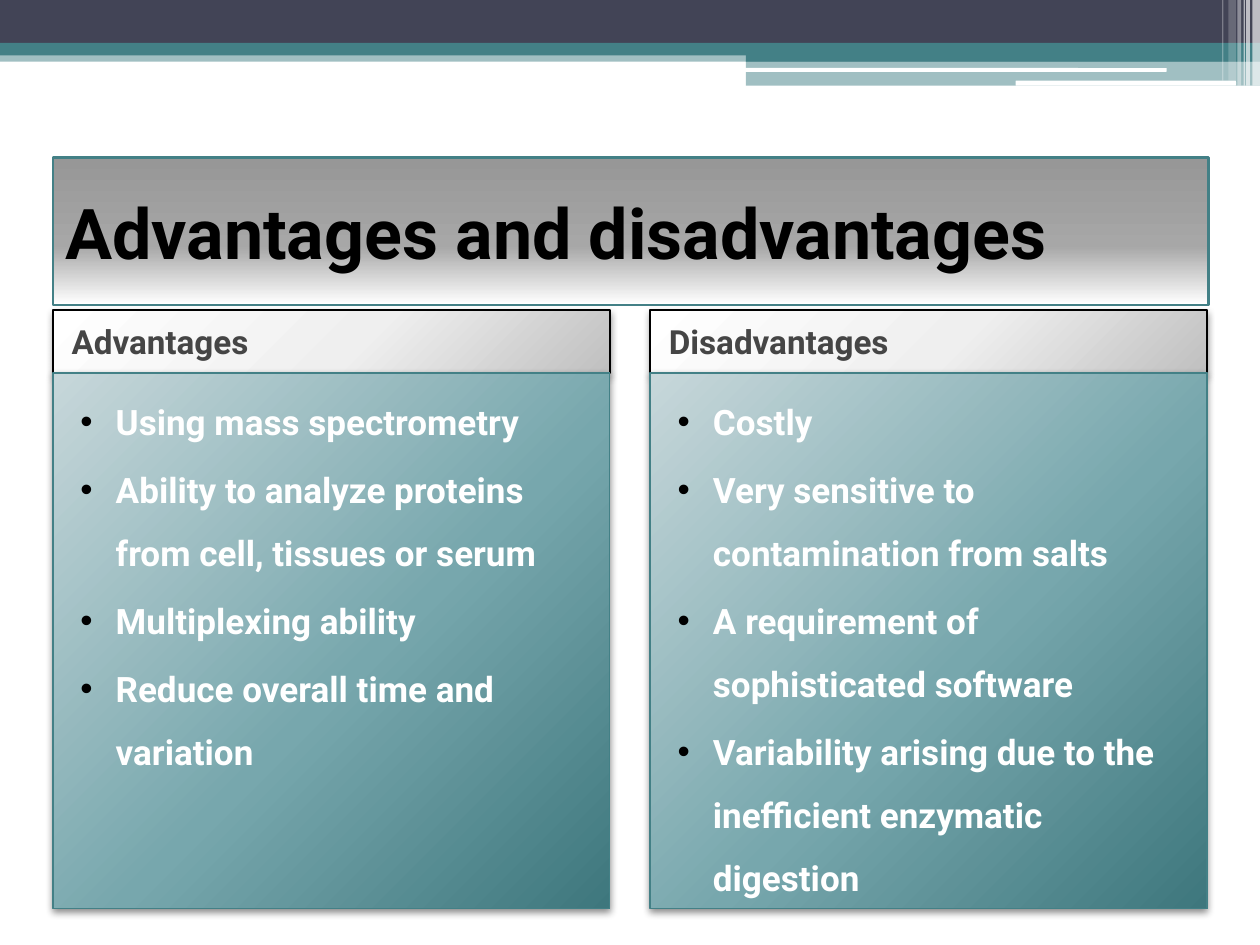
from lxml import etree
from pptx import Presentation
from pptx import util as u
from pptx.dml.color import RGBColor
from pptx.enum import shapes, text
from pptx.oxml import ns

TEAL, NAVY, WHITE, BLACK = "438086", "424456", "FFFFFF", "000000"


def colour(code):
    return RGBColor.from_string(code)


def add_element(parent, tag, **attributes):
    values = {name: str(value) for name, value in attributes.items()}
    return etree.SubElement(parent, ns.qn("a:" + tag), values)


class SlideBuilder:
    font = "Roboto"

    def __init__(self, slide):
        self.slide = slide

    def box(self, left, top, width, height, fill=None, opacity=100, rounded=False):
        kind = shapes.MSO_SHAPE.ROUNDED_RECTANGLE if rounded else shapes.MSO_SHAPE.RECTANGLE
        shape = self.slide.shapes.add_shape(
            kind, *(u.Inches(length) for length in (left, top, width, height)))
        shape.shadow.inherit = False
        shape.line.fill.background()
        if fill:
            shape.fill.solid()
            shape.fill.fore_color.rgb = colour(fill)
            if opacity < 100:
                solid = shape._element.spPr.find(ns.qn("a:solidFill"))
                add_element(solid[0], "alpha", val=opacity * 1000)
        return shape

    def panel(self, place, stops, angle, line, line_width):
        """Box with a gradient fill and an outline."""
        shape = self.box(*place)
        shape.fill.background()
        properties = shape._element.spPr
        empty_fill = properties.find(ns.qn("a:noFill"))
        gradient = etree.Element(ns.qn("a:gradFill"), rotWithShape="1")
        stop_list = add_element(gradient, "gsLst")
        for position, code in stops:
            stop = add_element(stop_list, "gs", pos=position * 1000)
            add_element(stop, "srgbClr", val=code)
        add_element(gradient, "lin", ang=angle * 60000, scaled=0)
        properties.replace(empty_fill, gradient)
        shape.line.color.rgb = colour(line)
        shape.line.width = u.Pt(line_width)
        return shape

    def cast_shadow(self, shape, opacity):
        effects = shape._element.spPr.find(ns.qn("a:effectLst"))
        outer = add_element(effects, "outerShdw", blurRad=u.Pt(4), dist=u.Pt(2),
                            dir=90 * 60000, algn="ctr", rotWithShape=0)
        add_element(add_element(outer, "srgbClr", val=BLACK), "alpha", val=opacity * 1000)

    def add_text(self, shape, lines, size, code, anchor=text.MSO_ANCHOR.MIDDLE,
                 indent=0, before=0, spacing=None, bullet=False):
        frame = shape.text_frame
        frame.word_wrap = True
        frame.vertical_anchor = anchor
        frame.text = "\n".join(lines)
        for paragraph in frame.paragraphs:
            paragraph.alignment = text.PP_ALIGN.LEFT
            paragraph.space_before = u.Pt(before)
            if spacing:
                paragraph.line_spacing = spacing
            properties = paragraph._p.get_or_add_pPr()
            properties.set("marL", str(u.Inches(indent)))
            if bullet:
                properties.set("indent", str(u.Inches(-0.28)))
                add_element(add_element(properties, "buClr"), "srgbClr", val=BLACK)
                add_element(properties, "buFont", typeface="Arial")
                add_element(properties, "buChar", char="•")
            for run in paragraph.runs:
                run.font.name = self.font
                run.font.size = u.Pt(size)
                run.font.bold = True
                run.font.color.rgb = colour(code)


def main():
    presentation = Presentation()
    presentation.slide_width, presentation.slide_height = u.Inches(10), u.Inches(7.5)
    builder = SlideBuilder(presentation.slides.add_slide(presentation.slide_layouts[6]))

    # Bands across the top
    for *place, fill, opacity in (
        (0, 0.4, 10, 0.09, TEAL, 50),
        (0, 0, 10, 0.34, NAVY, 100),
        (0, 0.34, 10, 0.1, TEAL, 100),
        (5.92, 0.39, 4.08, 0.1, TEAL, 100),
        (5.92, 0.48, 4.08, 0.2, TEAL, 50),
    ):
        builder.box(*place, fill, opacity)
    for place in ((5.91, 0.54, 3.35, 0.03), (8.06, 0.64, 1.75, 0.04)):
        builder.box(*place, WHITE, rounded=True)

    # Pale stripes in the right corner
    for left, width, height, opacity in (
        (9.94, 0.06, 0.68, 65), (9.89, 0.03, 0.68, 65), (9.87, 0.01, 0.68, 60),
        (9.82, 0.03, 0.68, 40), (9.75, 0.06, 0.64, 20), (9.7, 0.01, 0.64, 30),
    ):
        builder.box(left, 0, width, height, WHITE, opacity)

    # Title
    title = builder.panel((0.42, 1.25, 9.17, 1.17),
                          [(0, "979797"), (60, "A7A7A7"), (100, WHITE)], 90, TEAL, 1.5)
    builder.add_text(title, ["Advantages and disadvantages"], 40, BLACK)

    # Two columns, each a heading over a bulleted list
    columns = {
        "Advantages": [
            "Using mass spectrometry",
            "Ability to analyze proteins from cell, tissues or serum",
            "Multiplexing ability",
            "Reduce overall time and variation",
        ],
        "Disadvantages": [
            "Costly",
            "Very sensitive to contamination from salts",
            "A requirement of sophisticated software",
            "Variability arising due to the inefficient enzymatic digestion",
        ],
    }
    for index, (heading, points) in enumerate(columns.items()):
        left = 0.42 + index * 4.74
        header = builder.panel((left, 2.46, 4.42, 0.5),
                               [(0, WHITE), (55, "EFEFEF"), (100, "C0C0C0")], 45, BLACK, 1)
        builder.cast_shadow(header, 40)
        builder.add_text(header, [heading], 19, "454545", indent=0.05, before=3)
        body = builder.panel((left, 2.96, 4.42, 4.25),
                             [(0, "C7D7DA"), (55, "77A7AD"), (100, "3E777D")], 45, TEAL, 0.75)
        builder.cast_shadow(body, 45)
        builder.add_text(body, points, 20, WHITE, text.MSO_ANCHOR.TOP,
                         indent=0.4, before=3, spacing=1.5, bullet=True)

    presentation.save("out.pptx")


if __name__ == "__main__":
    main()
